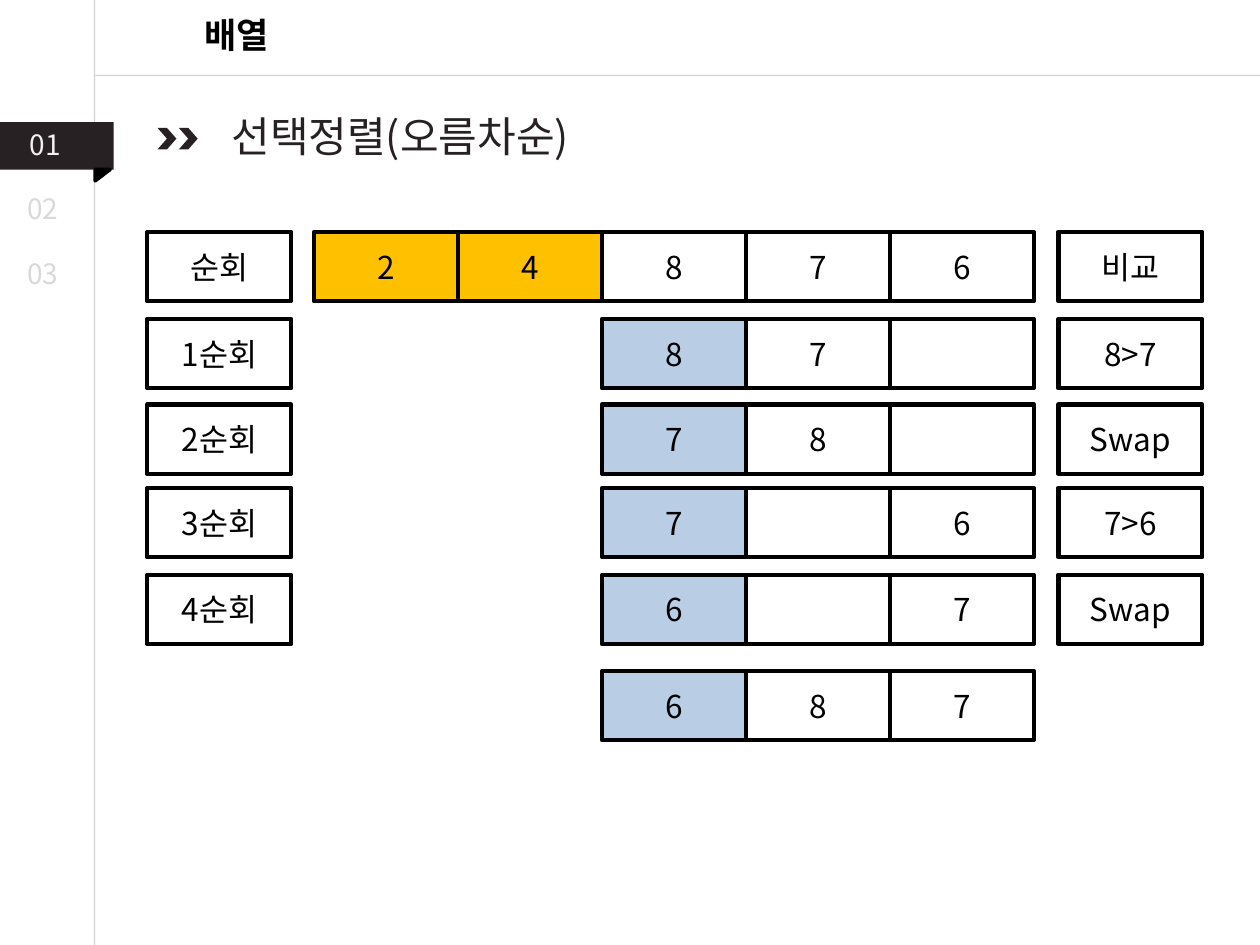
from dataclasses import dataclass
from typing import Any, Optional

import pptx
import pptx.dml.color
import pptx.enum.shapes
import pptx.enum.text
import pptx.oxml
import pptx.oxml.ns
import pptx.util

Pt = pptx.util.Pt
RGBColor = pptx.dml.color.RGBColor
ShapeType = pptx.enum.shapes.MSO_SHAPE
Align = pptx.enum.text.PP_ALIGN

FONT = "Noto Sans CJK KR"
BLACK = RGBColor(0x00, 0x00, 0x00)
DARK = RGBColor(0x27, 0x21, 0x23)
RULE_GRAY = RGBColor(0xA6, 0xA6, 0xA6)
PALE_GRAY = RGBColor(0xD9, 0xD9, 0xD9)
NEAR_WHITE = RGBColor(0xF2, 0xF2, 0xF2)
SORTED_GOLD = RGBColor(0xFF, 0xC0, 0x00)
CURRENT_BLUE = RGBColor(0xB9, 0xCD, 0xE5)

SLIDE_WIDTH, SLIDE_HEIGHT = 720, 540
CELL_WIDTH, CELL_HEIGHT = 82.25, 39.6
ROUND_LEFT, ARRAY_LEFT, COMPARE_LEFT = 84.2, 179.5, 604.8


@dataclass
class Label:
    text: str
    left: float
    top: float
    width: float
    height: float
    size: float
    color: RGBColor
    bold: bool = False
    alignment: Any = Align.LEFT


@dataclass
class Row:
    top: float
    round_name: str
    values: tuple[Optional[str], ...]  # None leaves the array position undrawn
    comparison: str
    fills: dict[int, RGBColor]


CURRENT = {2: CURRENT_BLUE}
ROWS = [
    Row(132.5, "순회", ("2", "4", "8", "7", "6"), "비교", {0: SORTED_GOLD, 1: SORTED_GOLD}),
    Row(182.3, "1순회", (None, None, "8", "7", ""), "8>7", CURRENT),
    Row(231.1, "2순회", (None, None, "7", "8", ""), "Swap", CURRENT),
    Row(278.8, "3순회", (None, None, "7", "", "6"), "7>6", CURRENT),
    Row(328.4, "4순회", (None, None, "6", "", "7"), "Swap", CURRENT),
    Row(383.3, "", (None, None, "6", "8", "7"), "", CURRENT),
]

LABELS = [
    Label("01", 10, 69.1, 42.5, 26.6, 16, NEAR_WHITE),
    Label("02", 8.6, 105.8, 35.3, 26.6, 16, PALE_GRAY),
    Label("03", 8.6, 143.3, 35.3, 26.6, 16, PALE_GRAY),
    Label("배열", 58.3, 4.3, 154, 31.5, 20, BLACK, True, Align.CENTER),
    Label(" 선택정렬(오름차순)", 113, 59.8, 226, 36, 24, DARK, False, Align.CENTER),
]

presentation = pptx.Presentation()
presentation.slide_width = Pt(SLIDE_WIDTH)
presentation.slide_height = Pt(SLIDE_HEIGHT)
slide = presentation.slides.add_slide(presentation.slide_layouts[6])


def apply_format(target: Any, values: dict[str, Any]) -> None:
    for name, value in values.items():
        setattr(target, name, value)


def write_text(shape: Any, text: str, alignment: Any, values: dict[str, Any]) -> None:
    paragraph = shape.text_frame.paragraphs[0]
    paragraph.alignment = alignment
    run = paragraph.add_run()
    run.text = text
    color = values["color"]
    apply_format(run.font, {key: value for key, value in values.items() if key != "color"})
    run.font.color.rgb = color
    east_asian = pptx.oxml.parse_xml(
        f'<a:ea {pptx.oxml.ns.nsdecls("a")} typeface="{FONT}"/>')
    run.font._element.append(east_asian)


def add_label(label: Label) -> None:
    box = slide.shapes.add_textbox(
        Pt(label.left), Pt(label.top), Pt(label.width), Pt(label.height))
    apply_format(box.text_frame, {
        "word_wrap": True,
        "auto_size": pptx.enum.text.MSO_AUTO_SIZE.SHAPE_TO_FIT_TEXT,
    })
    write_text(box, label.text, label.alignment, {
        "name": FONT, "size": Pt(label.size), "bold": label.bold, "color": label.color})


def add_block(kind: Any, left: float, top: float, width: float, height: float,
              fill: Optional[RGBColor], line_width: float = 0) -> Any:
    shape = slide.shapes.add_shape(kind, Pt(left), Pt(top), Pt(width), Pt(height))
    shape.shadow.inherit = False
    if fill is None:
        shape.fill.background()
    else:
        shape.fill.solid()
        shape.fill.fore_color.rgb = fill
    if line_width:
        shape.line.color.rgb = BLACK
        shape.line.width = Pt(line_width)
    else:
        shape.line.fill.background()
    return shape


def add_cell(left: float, top: float, text: str, fill: Optional[RGBColor] = None) -> None:
    cell = add_block(ShapeType.RECTANGLE, left, top, CELL_WIDTH, CELL_HEIGHT, fill, 2.5)
    cell.text_frame.vertical_anchor = pptx.enum.text.MSO_ANCHOR.MIDDLE
    if text:
        write_text(cell, text, Align.CENTER, {"name": FONT, "size": Pt(18), "color": BLACK})


def add_rule(start_x: float, start_y: float, end_x: float, end_y: float) -> None:
    rule = slide.shapes.add_connector(
        pptx.enum.shapes.MSO_CONNECTOR.STRAIGHT,
        Pt(start_x), Pt(start_y), Pt(end_x), Pt(end_y))
    rule.line.color.rgb = RULE_GRAY
    rule.line.width = Pt(0.75)
    namespace = pptx.oxml.ns.nsdecls("a")
    color = rule.line._ln.find(".//" + pptx.oxml.ns.qn("a:srgbClr"))
    color.append(pptx.oxml.parse_xml(f'<a:alpha {namespace} val="50000"/>'))
    rule._element.spPr.append(pptx.oxml.parse_xml(f"<a:effectLst {namespace}/>"))


# Frame rules
add_rule(54, 0, 54, SLIDE_HEIGHT)
add_rule(54.5, 43.2, SLIDE_WIDTH, 43.2)

# Section tab with its folded corner
add_block(ShapeType.RECTANGLE, -0.5, 69.8, 65.5, 27.2, DARK)
fold = add_block(ShapeType.RIGHT_TRIANGLE, 55.4, 95.8, 6.5, 8.6, BLACK, 2)
fold.rotation = 90

# Section numbers and headings
for label in LABELS:
    add_label(label)

# Sorting rounds
for row in ROWS:
    for index, value in enumerate(row.values):
        if value is not None:
            add_cell(ARRAY_LEFT + index * CELL_WIDTH, row.top, value, row.fills.get(index))
    for left, text in ((ROUND_LEFT, row.round_name), (COMPARE_LEFT, row.comparison)):
        if text:
            add_cell(left, row.top, text)

# Heading chevrons
for left in (102.2, 90):
    add_block(ShapeType.CHEVRON, left, 73.1, 10.8, 12.3, DARK)

presentation.save("out.pptx")
